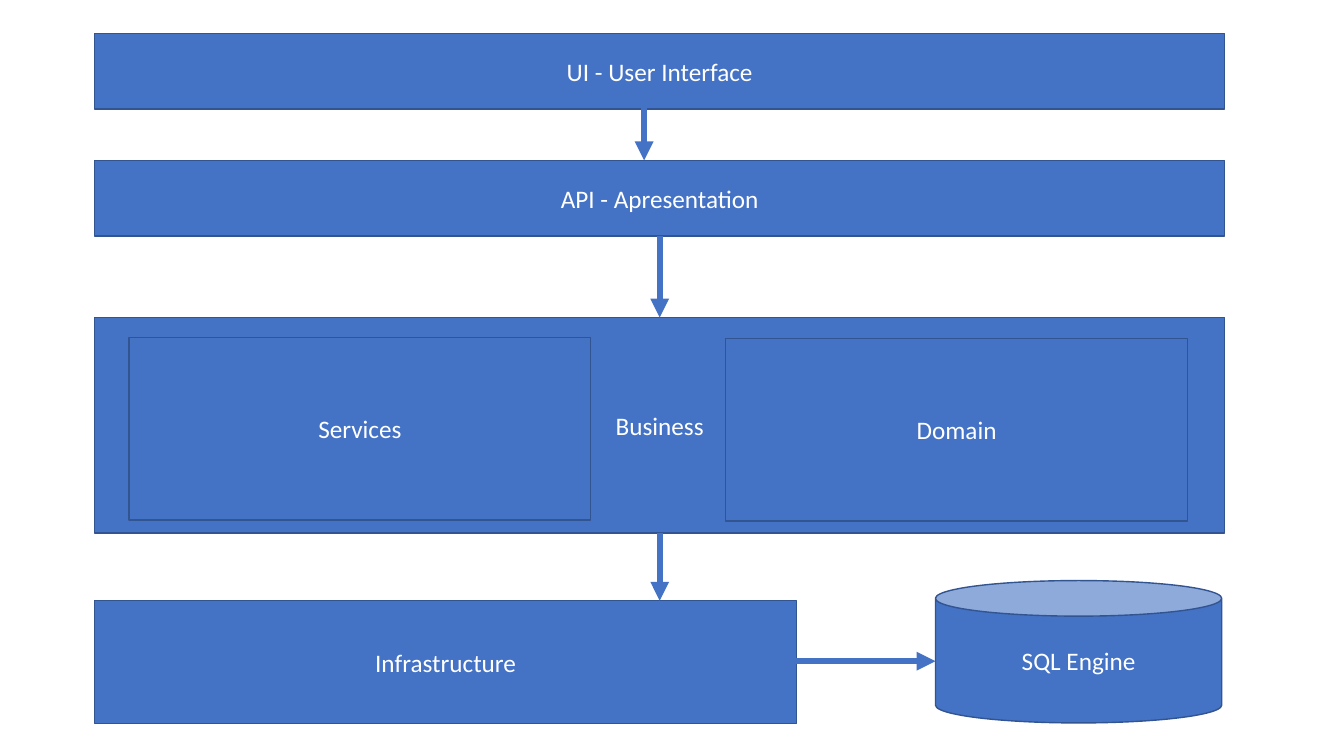
"""Build a slide showing the layers of an application architecture."""
import pptx
import pptx.dml.color
import pptx.enum.shapes
import pptx.enum.text
import pptx.oxml.ns
import pptx.util
from lxml import etree

Pt = pptx.util.Pt
BLUE = pptx.dml.color.RGBColor(0x44, 0x72, 0xC4)
DARK_BLUE = pptx.dml.color.RGBColor(0x32, 0x54, 0x91)
WHITE = pptx.dml.color.RGBColor(0xFF, 0xFF, 0xFF)
RECTANGLE = pptx.enum.shapes.MSO_SHAPE.RECTANGLE
CAN = pptx.enum.shapes.MSO_SHAPE.CAN

LEFT = 67.7
WIDTH = 807.1
CENTER = LEFT + WIDTH / 2
BAR_HEIGHT = 54
INNER_WIDTH = 329.8
INNER_HEIGHT = 130.3
UI_TOP = 23.8
API_TOP = 114.5
BUSINESS_TOP = 226.8
BUSINESS_HEIGHT = 154.1
INFRASTRUCTURE_TOP = 429.1
INFRASTRUCTURE_WIDTH = 501.2
DATABASE_LEFT = 668.2
DATABASE_MIDDLE = 472.3


def write_text(shape, text, *, font="Calibri", size=18, color=WHITE,
               align=pptx.enum.text.PP_ALIGN.CENTER):
    frame = shape.text_frame
    frame.word_wrap = True
    frame.vertical_anchor = pptx.enum.text.MSO_ANCHOR.MIDDLE
    paragraph = frame.paragraphs[0]
    paragraph.alignment = align
    run = paragraph.add_run()
    run.text = text
    run.font.name = font
    run.font.size = Pt(size)
    run.font.color.rgb = color


class Diagram:
    def __init__(self, slide, fill=BLUE, outline=DARK_BLUE, outline_width=1, arrow_width=4.5):
        self.slide = slide
        self.fill = fill
        self.outline = outline
        self.outline_width = outline_width
        self.arrow_width = arrow_width

    def block(self, text, left, top, width, height, kind=RECTANGLE):
        shape = self.slide.shapes.add_shape(kind, Pt(left), Pt(top), Pt(width), Pt(height))
        shape.shadow.inherit = False
        shape.fill.solid()
        shape.fill.fore_color.rgb = self.fill
        shape.line.color.rgb = self.outline
        shape.line.width = Pt(self.outline_width)
        write_text(shape, text)

    def arrow(self, start_x, start_y, end_x, end_y):
        connector = self.slide.shapes.add_connector(
            pptx.enum.shapes.MSO_CONNECTOR.STRAIGHT,
            Pt(start_x), Pt(start_y), Pt(end_x), Pt(end_y))
        connector.line.color.rgb = self.fill
        connector.line.width = Pt(self.arrow_width)
        line = connector.line._get_or_add_ln()
        etree.SubElement(line, pptx.oxml.ns.qn("a:tailEnd"), type="triangle")
        etree.SubElement(connector._element.spPr, pptx.oxml.ns.qn("a:effectLst"))


def main():
    presentation = pptx.Presentation()
    presentation.slide_width = Pt(960)
    presentation.slide_height = Pt(540)
    diagram = Diagram(presentation.slides.add_slide(presentation.slide_layouts[6]))

    diagram.block("UI - User Interface", LEFT, UI_TOP, WIDTH, BAR_HEIGHT)
    diagram.block("API - Apresentation", LEFT, API_TOP, WIDTH, BAR_HEIGHT)
    diagram.block("Business", LEFT, BUSINESS_TOP, WIDTH, BUSINESS_HEIGHT)
    diagram.block("Infrastructure", LEFT, INFRASTRUCTURE_TOP, INFRASTRUCTURE_WIDTH, 87.8)
    diagram.block("SQL Engine", DATABASE_LEFT, 414.7, 204.5, 101.7, CAN)
    diagram.block("Services", 92.2, 241.2, INNER_WIDTH, INNER_HEIGHT)
    diagram.block("Domain", 518.4, 241.9, INNER_WIDTH, INNER_HEIGHT)

    diagram.arrow(460.1, 76.3, 460.1, API_TOP)
    diagram.arrow(LEFT + INFRASTRUCTURE_WIDTH, DATABASE_MIDDLE, DATABASE_LEFT, DATABASE_MIDDLE)
    diagram.arrow(CENTER, API_TOP + BAR_HEIGHT, CENTER, BUSINESS_TOP)
    diagram.arrow(CENTER, BUSINESS_TOP + BUSINESS_HEIGHT, CENTER, INFRASTRUCTURE_TOP)

    presentation.save("out.pptx")


if __name__ == "__main__":
    main()
